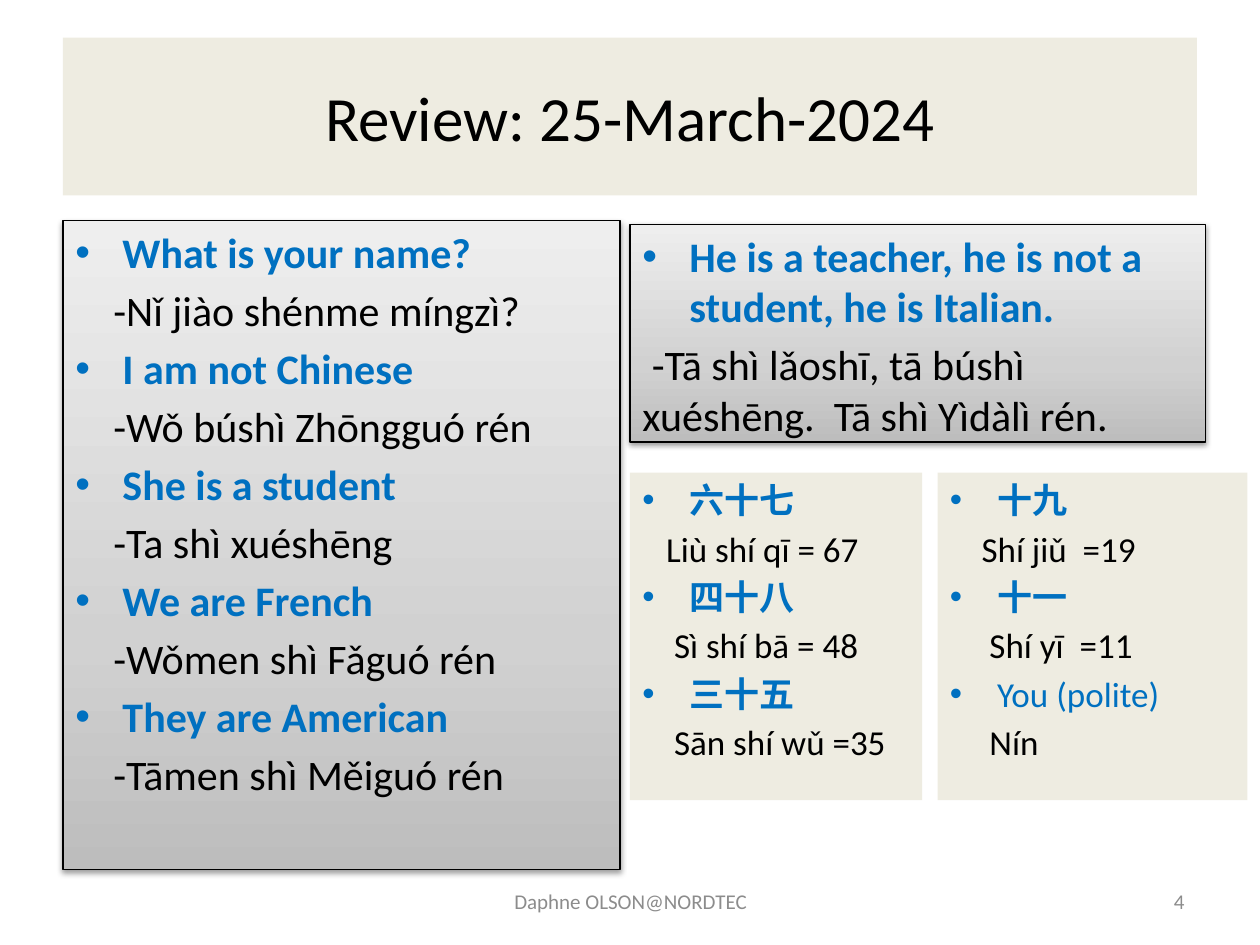
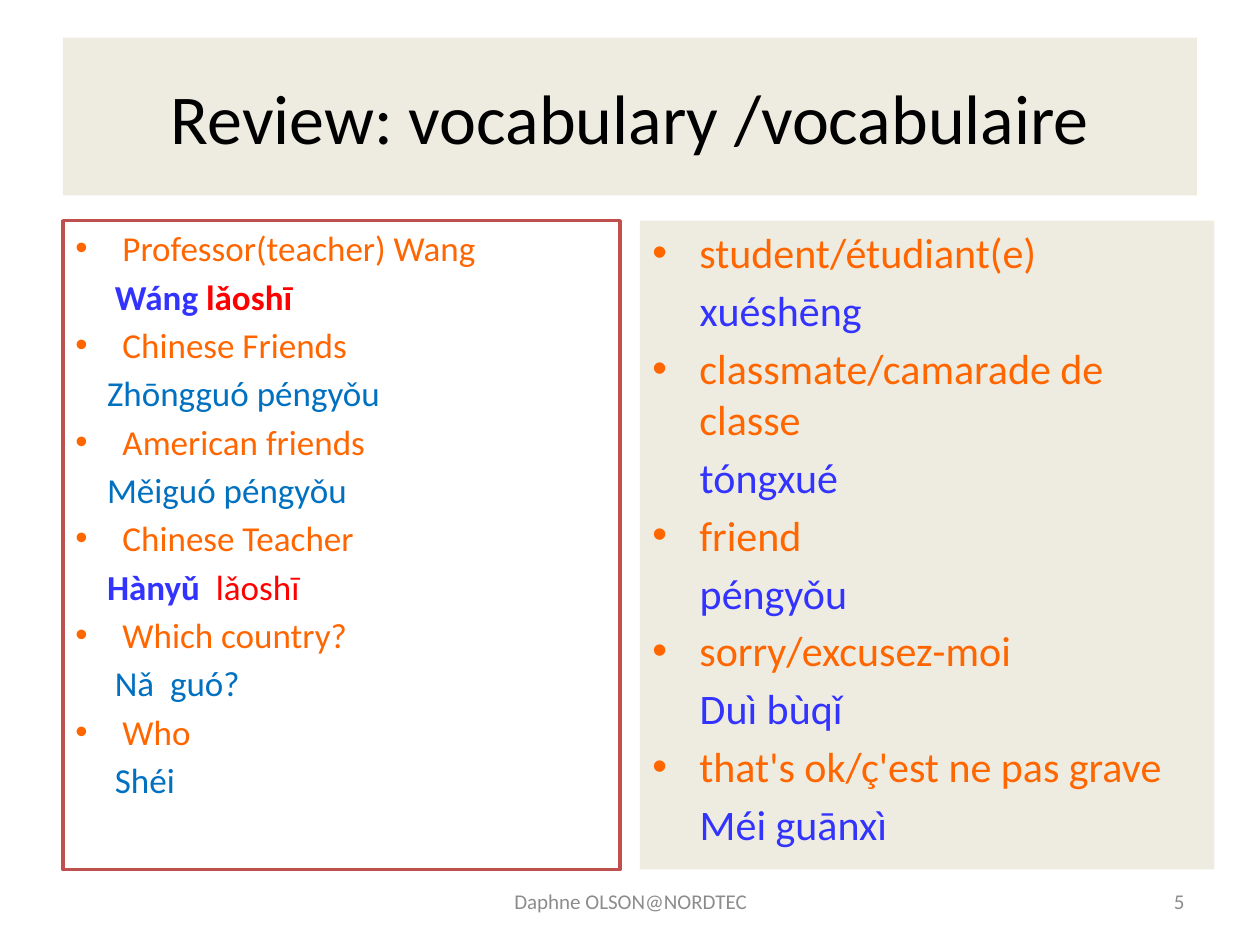
from copy import deepcopy
from dataclasses import dataclass

from lxml import etree
from pptx import Presentation
from pptx import util as u
from pptx.dml.color import RGBColor
from pptx.enum import shapes, text
from pptx.oxml.ns import qn


@dataclass(frozen=True)
class Theme:
    font: str = "Calibri"
    black: str = "000000"
    white: str = "FFFFFF"
    cream: str = "EEECE1"
    gray: str = "8C8C8C"
    blue: str = "0070C0"
    violet: str = "3333FF"
    orange: str = "FF6600"
    red: str = "FF0000"
    brick: str = "C0504D"
    silver: tuple = ((0, "BDBDBD"), (0.35, "D1D1D1"), (1, "EEEEEE"))
    large: int = 24
    medium: int = 20
    small: int = 12
    hanging: float = 0.95       # cm, bullet to text
    space_width: float = 0.226  # em, one step of an answer's indent
    gap: float = 0.18           # em, space before each paragraph


@dataclass(frozen=True)
class Span:
    text: str
    color: str
    bold: bool = False


@dataclass(frozen=True)
class Line:
    """One paragraph; steps count the answer's indent in space widths."""
    spans: tuple
    bullet: bool = False
    steps: int = 0
    first_line_only: bool = False


def prompt(words, color, bold=False):
    return Line((Span(words, color, bold),), bullet=True)


def answer(words, color, steps, first_line_only=False):
    return Line((Span(words, color),), False, steps, first_line_only)


def rgb(value):
    return RGBColor.from_string(value)


class Deck:
    FOOTER = "Daphne OLSON@NORDTEC"
    FOOTER_TOP, FOOTER_HEIGHT = 17.65, 1.02

    def __init__(self, theme):
        self.theme = theme
        self.prs = Presentation()
        self.prs.slide_width, self.prs.slide_height = u.Cm(25.4), u.Cm(19.05)
        self.s = None

    def new_slide(self, title, title_size, number):
        self.s = self.prs.slides.add_slide(self.prs.slide_layouts[6])
        band = self.rect((1.27, 0.76, 22.86, 3.18), self.theme.cream)
        self.label(band, title, title_size, self.theme.black, text.PP_ALIGN.CENTER)
        self.footer(8.69, 8.05, self.FOOTER, text.PP_ALIGN.CENTER)
        self.footer(18.21, 5.92, str(number), text.PP_ALIGN.RIGHT)

    def footer(self, left, width, words, align):
        box = (left, self.FOOTER_TOP, width, self.FOOTER_HEIGHT)
        sp = self.s.shapes.add_textbox(*map(u.Cm, box))
        self.label(sp, words, self.theme.small, self.theme.gray, align)

    def label(self, sp, words, size, color, align):
        """Write one vertically centred line into a shape."""
        tf = sp.text_frame
        tf.word_wrap = True
        tf.vertical_anchor = text.MSO_ANCHOR.MIDDLE
        p = tf.paragraphs[0]
        p.text, p.alignment = words, align
        self.set_font(p.font, size, color)

    def set_font(self, font, size, color=None):
        font.name, font.size = self.theme.font, u.Pt(size)
        if color:
            font.color.rgb = rgb(color)

    def rect(self, box, fill=None, line=None, line_width=0.75):
        sp = self.s.shapes.add_shape(shapes.MSO_SHAPE.RECTANGLE, *map(u.Cm, box))
        sp.shadow.inherit = False
        if fill:
            sp.fill.solid()
            sp.fill.fore_color.rgb = rgb(fill)
        if line:
            sp.line.color.rgb = rgb(line)
            sp.line.width = u.Pt(line_width)
        else:
            sp.line.fill.background()
        return sp

    def silver_rect(self, box):
        """Outlined rectangle with a silver gradient and a soft shadow."""
        sp = self.rect(box, line=self.theme.black)
        sp.fill.gradient()
        sp.fill.gradient_angle = 90
        stops = sp._element.spPr.find(qn("a:gradFill")).find(qn("a:gsLst"))
        stops.append(deepcopy(stops[0]))
        for stop, (position, color) in zip(sp.fill.gradient_stops, self.theme.silver):
            stop.position = position
            stop.color.rgb = rgb(color)
        effects = sp._element.spPr.find(qn("a:effectLst"))
        shadow = etree.SubElement(
            effects, qn("a:outerShdw"), blurRad=str(u.Pt(3.1)),
            dist=str(u.Pt(1.6)), dir="5400000", rotWithShape="0")
        color = etree.SubElement(shadow, qn("a:srgbClr"), val=self.theme.black)
        etree.SubElement(color, qn("a:alpha"), val="38000")
        return sp

    def write_lines(self, sp, lines, size):
        tf = sp.text_frame
        tf.word_wrap = True
        tf.vertical_anchor = text.MSO_ANCHOR.TOP
        for i, line in enumerate(lines):
            p = tf.add_paragraph() if i else tf.paragraphs[0]
            p.alignment = text.PP_ALIGN.LEFT
            p.space_before = u.Pt(round(size * self.theme.gap, 1))
            self.set_font(p.font, size)
            self.indent(p, line, size)
            for span in line.spans:
                r = p.add_run()
                r.text = span.text
                r.font.bold = span.bold
                r.font.color.rgb = rgb(span.color)

    def indent(self, p, line, size):
        pPr = p._p.get_or_add_pPr()
        if line.bullet:
            hanging = u.Cm(self.theme.hanging)
            pPr.set("marL", str(hanging))
            pPr.set("indent", str(-hanging))
            font = etree.Element(qn("a:buFont"), typeface="Arial")
            char = etree.Element(qn("a:buChar"), char="•")
            pPr.find(qn("a:spcBef")).addnext(font)
            font.addnext(char)
        else:
            shift = u.Pt(line.steps * size * self.theme.space_width)
            pPr.set("marL", "0" if line.first_line_only else str(shift))
            pPr.set("indent", str(shift) if line.first_line_only else "0")


def build_sentences(deck):
    t = deck.theme
    deck.new_slide("Review: 25-March-2024", 36, 4)

    sentences = [
        ("What is your name?", "-Nǐ jiào shénme míngzì?"),
        ("I am not Chinese", "-Wǒ búshì Zhōngguó rén"),
        ("She is a student", "-Ta shì xuéshēng"),
        ("We are French", "-Wǒmen shì Fǎguó rén"),
        ("They are American", "-Tāmen shì Měiguó rén"),
    ]
    lines = [line for english, pinyin in sentences
             for line in (prompt(english, t.blue, True), answer(pinyin, t.black, 4))]
    deck.write_lines(deck.silver_rect((1.27, 4.45, 11.23, 13.08)), lines, t.large)

    teacher = [
        prompt("He is a teacher, he is not a student, he is Italian.", t.blue, True),
        answer("-Tā shì lǎoshī, tā búshì xuéshēng.  Tā shì Yìdàlì rén.",
               t.black, 1, first_line_only=True),
    ]
    deck.write_lines(deck.silver_rect((12.7, 4.52, 11.61, 4.39)), teacher, t.large)

    number_cards = [
        (12.7, 5.89, [("六十七", True, "Liù shí qī = 67", 3),
                      ("四十八", True, "Sì shí bā = 48", 4),
                      ("三十五", True, "Sān shí wǔ =35", 4)]),
        (18.9, 6.25, [("十九", True, "Shí jiǔ  =19", 4),
                      ("十一", True, "Shí yī  =11", 5),
                      ("You (polite)", False, "Nín", 5)]),
    ]
    for left, width, entries in number_cards:
        lines = [line for head, bold, reading, steps in entries
                 for line in (prompt(head, t.blue, bold),
                              answer(reading, t.black, steps))]
        deck.write_lines(deck.rect((left, 9.53, width, 6.6), t.cream), lines, t.medium)


def build_vocabulary(deck):
    t = deck.theme
    deck.new_slide("Review: vocabulary /vocabulaire", 40, 5)

    people = [
        ("Professor(teacher) Wang",
         Line((Span("Wáng ", t.violet, True), Span("lǎoshī", t.red, True)), steps=5)),
        ("Chinese Friends", answer("Zhōngguó péngyǒu", t.blue, 4)),
        ("American friends", answer("Měiguó péngyǒu", t.blue, 4)),
        ("Chinese Teacher",
         Line((Span("Hànyǔ  ", t.violet, True), Span("lǎoshī", t.red)), steps=4)),
        ("Which country?", answer("Nǎ  guó?", t.blue, 5)),
        ("Who", answer("Shéi", t.blue, 5)),
    ]
    lines = [line for english, reply in people
             for line in (prompt(english, t.orange), reply)]
    people_box = deck.rect((1.27, 4.45, 11.23, 13.08), t.white, t.brick, 2)
    deck.write_lines(people_box, lines, t.medium)

    words = [
        ("student/étudiant(e)", "xuéshēng"),
        ("classmate/camarade de classe", "tóngxué"),
        ("friend", "péngyǒu"),
        ("sorry/excusez-moi", "Duì bùqǐ"),
        ("that's ok/ç'est ne pas grave", "Méi guānxì"),
    ]
    lines = [line for meaning, pinyin in words
             for line in (prompt(meaning, t.orange), answer(pinyin, t.violet, 5))]
    deck.write_lines(deck.rect((12.9, 4.45, 11.58, 13.08), t.cream), lines, t.large)


def main():
    deck = Deck(Theme())
    build_sentences(deck)
    build_vocabulary(deck)
    deck.prs.save("out.pptx")


if __name__ == "__main__":
    main()
